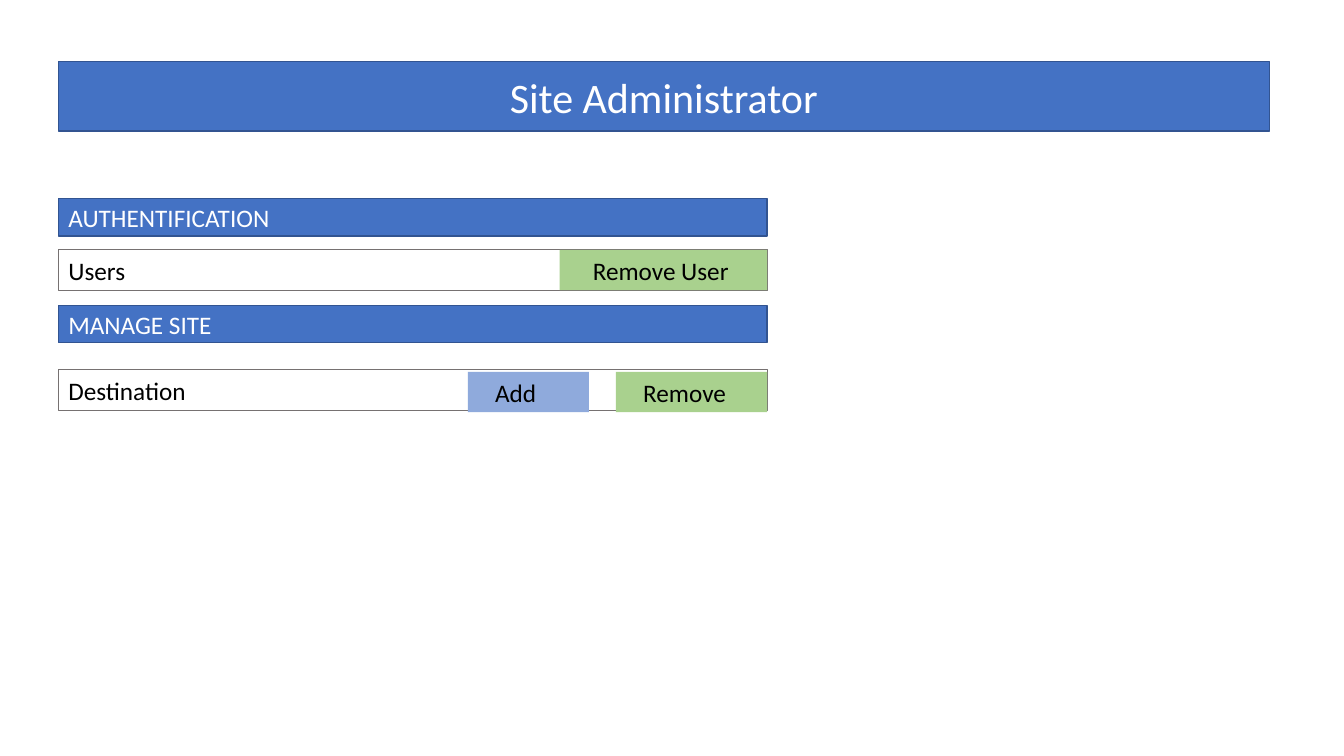
"""Build the Site Administrator menu slide."""
from pptx import Presentation
from pptx.dml.color import RGBColor
from pptx.enum.shapes import MSO_SHAPE
from pptx.enum.text import MSO_ANCHOR, PP_ALIGN
from pptx.util import Inches, Pt

RECTANGLE = MSO_SHAPE.RECTANGLE
TOP, MIDDLE = MSO_ANCHOR.TOP, MSO_ANCHOR.MIDDLE
LEFT, CENTER = PP_ALIGN.LEFT, PP_ALIGN.CENTER
BLUE = RGBColor(0x44, 0x72, 0xC4)
DARK_BLUE = RGBColor(0x32, 0x54, 0x91)
LIGHT_BLUE = RGBColor(0x8F, 0xAA, 0xDC)
GREEN = RGBColor(0xA9, 0xD1, 0x8E)
GRAY = RGBColor(0x76, 0x71, 0x71)
WHITE = RGBColor(0xFF, 0xFF, 0xFF)
BLACK = RGBColor(0, 0, 0)

MARGIN = 0.58
MENU_WIDTH = 7.03
MENU_RIGHT = MARGIN + MENU_WIDTH
ROW_HEIGHT = 0.4

presentation = Presentation()
presentation.slide_width = Inches(13.33)
presentation.slide_height = Inches(7.5)
slide = presentation.slides.add_slide(presentation.slide_layouts[6])


def add_box(text, left, top, width, height=ROW_HEIGHT, fill=None, line=None,
            line_width=1, color=BLACK, size=18, align=LEFT, anchor=TOP, indent=0):
    box = slide.shapes.add_shape(
        RECTANGLE, Inches(left), Inches(top), Inches(width), Inches(height))
    box.shadow.inherit = False
    if fill is None:
        box.fill.background()
    else:
        box.fill.solid()
        box.fill.fore_color.rgb = fill
    if line is None:
        box.line.fill.background()
    else:
        box.line.color.rgb = line
        box.line.width = Pt(line_width)
    frame = box.text_frame
    frame.word_wrap = True
    frame.vertical_anchor = anchor
    frame.margin_left = Inches(0.1 + indent)
    paragraph = frame.paragraphs[0]
    paragraph.alignment = align
    run = paragraph.add_run()
    run.text = text
    run.font.name = "Calibri"
    run.font.size = Pt(size)
    run.font.color.rgb = color


add_box("Site Administrator", MARGIN, 0.61, 12.01, 0.69, fill=BLUE,
        line=DARK_BLUE, color=WHITE, size=30, align=CENTER, anchor=MIDDLE)

for heading, top in (("AUTHENTIFICATION", 1.97), ("MANAGE SITE", 3.03)):
    add_box(heading, MARGIN, top, MENU_WIDTH, 0.37, fill=BLUE,
            line=DARK_BLUE, color=WHITE, anchor=MIDDLE)

for entry, top in (("Users", 2.48), ("Destination", 3.67)):
    add_box(entry, MARGIN, top, MENU_WIDTH, line=GRAY, line_width=0.75)

buttons = (
    ("Remove User", MENU_RIGHT - 2.06, 2.48, 2.06, GREEN, 0.23),
    ("Add", 4.64, 3.69, 1.2, LIGHT_BLUE, 0.17),
    ("Remove", MENU_RIGHT - 1.5, 3.69, 1.5, GREEN, 0.17),
)
for action, left, top, width, fill, indent in buttons:
    add_box(action, left, top, width, fill=fill, indent=indent)

presentation.save("out.pptx")
